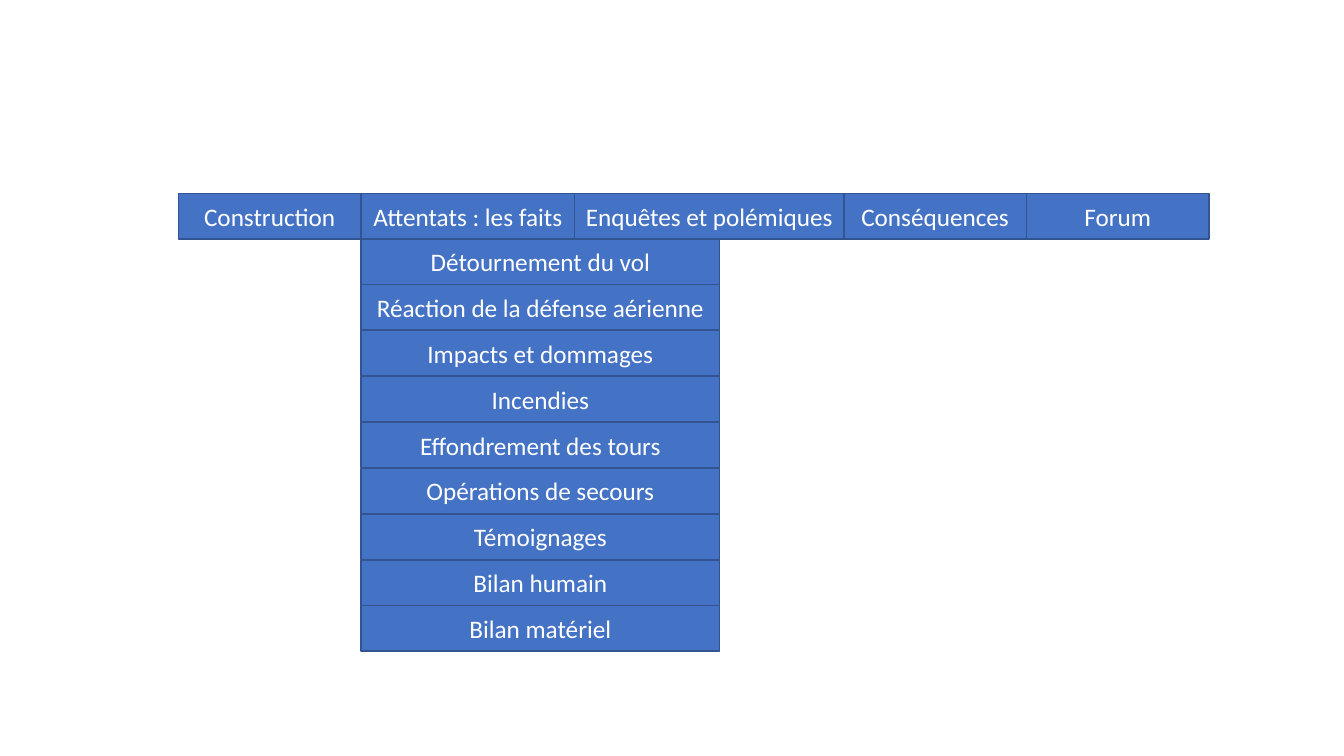
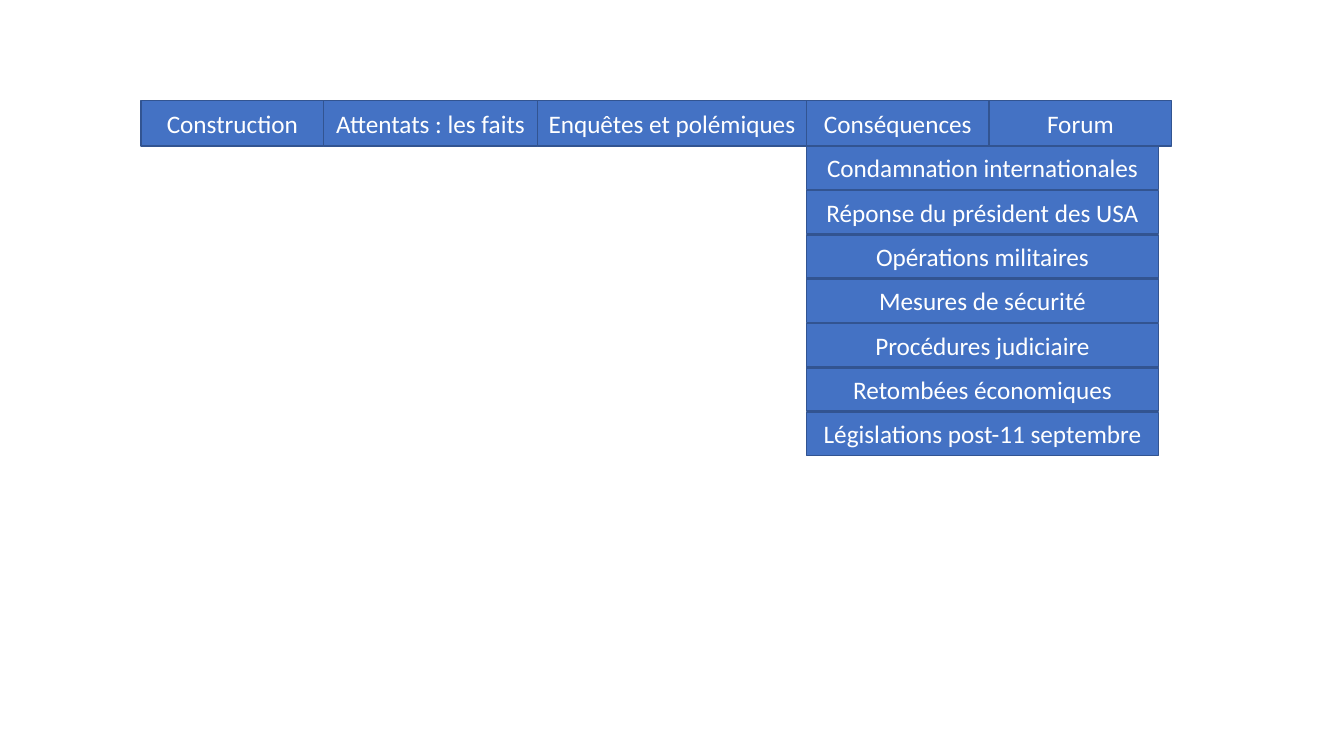
from itertools import accumulate
from pptx import Presentation, util as u
from pptx.dml.color import RGBColor
from pptx.enum import shapes, text

HUES = {"fill": "4472C4", "edge": "325491", "text": "FFFFFF"}
FONT = "Calibri"
TABS = [
    ("Construction", 1.81),
    ("Attentats : les faits", 2.12),
    ("Enquêtes et polémiques", 2.67),
    ("Conséquences", 1.81),
    ("Forum", 1.81),
]
MENUS = [
    {
        "left": 1.77, "top": 1.92, "tab": 1, "width": 3.56,
        "row": 0.45, "step": 0.455,
        "items": [
            "Détournement du vol",
            "Réaction de la défense aérienne",
            "Impacts et dommages",
            "Incendies",
            "Effondrement des tours",
            "Opérations de secours",
            "Témoignages",
            "Bilan humain",
            "Bilan matériel",
        ],
    },
    {
        "left": 1.4, "top": 1, "tab": 3, "width": 3.49,
        "row": 0.43, "step": 0.44,
        "items": [
            "Condamnation internationales",
            "Réponse du président des USA",
            "Opérations militaires",
            "Mesures de sécurité",
            "Procédures judiciaire",
            "Retombées économiques",
            "Législations post-11 septembre",
        ],
    },
]
BAR = 0.45


def add_cell(group, label, left, top, width, height):
    cell = group.shapes.add_shape(
        shapes.MSO_SHAPE.RECTANGLE, *map(u.Inches, (left, top, width, height)))
    cell.shadow.inherit = False
    cell.fill.solid()
    cell.fill.fore_color.rgb = RGBColor.from_string(HUES["fill"])
    cell.line.color.rgb = RGBColor.from_string(HUES["edge"])
    cell.line.width = u.Pt(1)
    frame = cell.text_frame
    frame.word_wrap = True
    frame.vertical_anchor = text.MSO_ANCHOR.MIDDLE
    line = frame.paragraphs[0]
    line.alignment = text.PP_ALIGN.CENTER
    run = line.add_run()
    run.text = label
    run.font.name = FONT
    run.font.size = u.Pt(18)
    run.font.color.rgb = RGBColor.from_string(HUES["text"])


deck = Presentation()
deck.slide_width = u.Inches(13.33)
deck.slide_height = u.Inches(7.5)

for menu in MENUS:
    slide = deck.slides.add_slide(deck.slide_layouts[6])
    group = slide.shapes.add_group_shape()
    edges = list(accumulate((width for _, width in TABS), initial=menu["left"]))
    for (label, width), left in zip(TABS, edges):
        add_cell(group, label, left, menu["top"], width, BAR)
    for row, label in enumerate(menu["items"]):
        top = menu["top"] + BAR + row * menu["step"]
        add_cell(group, label, edges[menu["tab"]], top, menu["width"], menu["row"])

deck.save("out.pptx")
